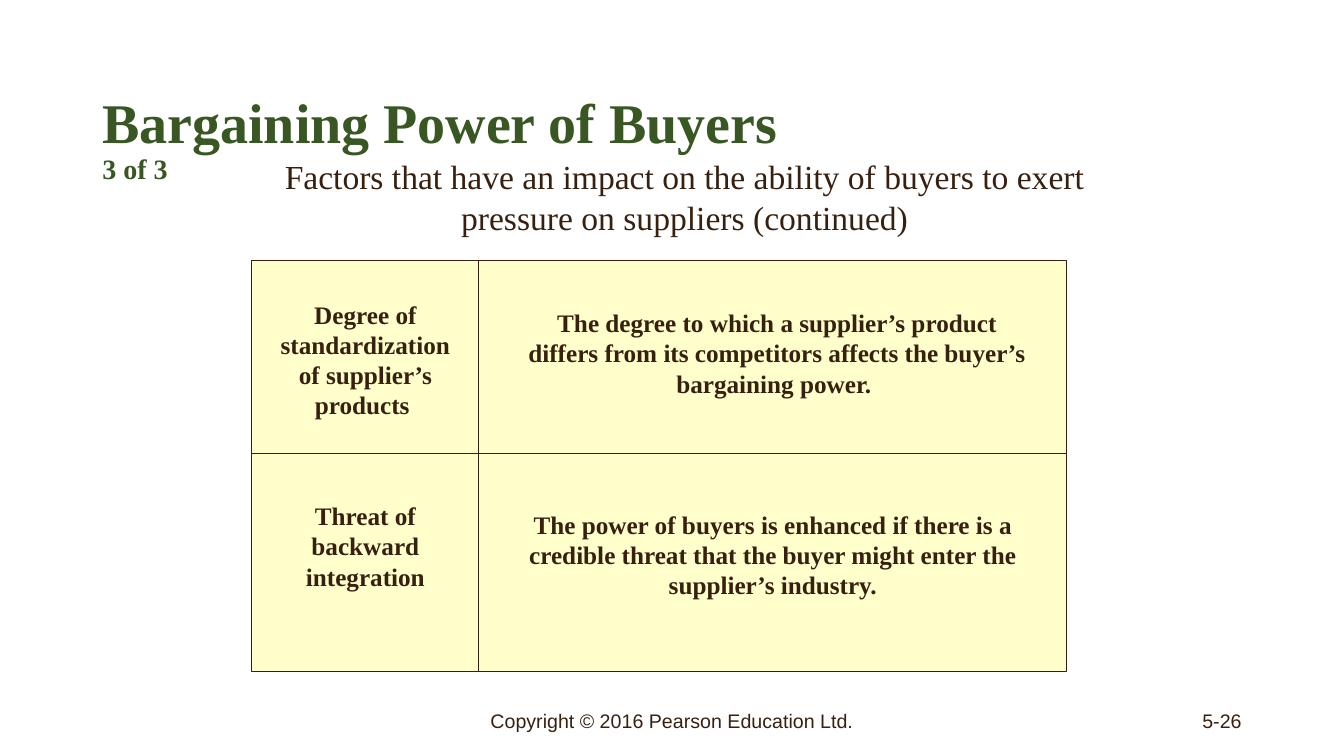
from lxml import etree
from pptx import Presentation
from pptx.dml.color import RGBColor
from pptx.enum.shapes import MSO_CONNECTOR, MSO_SHAPE
from pptx.enum.text import MSO_ANCHOR, PP_ALIGN
from pptx.oxml.ns import qn
from pptx.util import Pt

LEFT, CENTER, RIGHT = PP_ALIGN.LEFT, PP_ALIGN.CENTER, PP_ALIGN.RIGHT
TOP, MIDDLE = MSO_ANCHOR.TOP, MSO_ANCHOR.MIDDLE
RECTANGLE, STRAIGHT = MSO_SHAPE.RECTANGLE, MSO_CONNECTOR.STRAIGHT
GREEN = RGBColor(0x38, 0x57, 0x23)
BROWN = RGBColor(0x38, 0x20, 0x10)
CREAM = RGBColor(0xFF, 0xFF, 0xCC)
SERIF, SANS = "Times New Roman", "Arial"

# Content
TITLE = "Bargaining Power of Buyers"
PART = "3 of 3"
# text, box, size, font, alignment, anchor
LABELS = [
    ("Factors that have an impact on the ability of buyers to exert "
     "pressure on suppliers (continued)",
     (216, 144, 872, 87), 24, SERIF, CENTER, TOP),
    ("Copyright © 2016 Pearson Education Ltd.",
     (424, 667, 432, 38), 14, SANS, CENTER, MIDDLE),
    ("5-26", (904, 667, 288, 38), 14, SANS, RIGHT, MIDDLE),
]
# text and box of each factor and its explanation
FACTORS = [
    ("Degree of standardization of supplier’s products ",
     (248, 280, 200, 126)),
    ("Threat of backward integration", (248, 472, 200, 97)),
    ("The power of buyers is enhanced if there is a credible threat that "
     "the buyer might enter the supplier’s industry.", (464, 480, 544, 97)),
    ("The degree to which a supplier’s product differs from its "
     "competitors affects the buyer’s bargaining power. ",
     (488, 288, 504, 97)),
]
PANEL = (240, 248, 776, 392)
ROW_SPLIT, COL_SPLIT = 432, 456


def px(n):
    return n * 9525


def add_run(p, text, size, font, color, bold=False):
    r = p.add_run()
    r.text = text
    f = r.font
    f.size, f.name, f.bold = Pt(size), font, bold
    f.color.rgb = color


def add_box(s, box, align, anchor):
    tf = s.shapes.add_textbox(*map(px, box)).text_frame
    tf.word_wrap = True
    tf.vertical_anchor = anchor
    p = tf.paragraphs[0]
    p.alignment = align
    return p


def set_line(shape):
    shape.line.color.rgb = BROWN
    shape.line.width = Pt(0.75)


prs = Presentation()
prs.slide_width, prs.slide_height = px(1280), px(720)
s = prs.slides.add_slide(prs.slide_layouts[6])

# Title
p = add_box(s, (88, 64, 1104, 139), LEFT, MIDDLE)
p.line_spacing = 0.9
add_run(p, TITLE, 40, SERIF, GREEN, True)
p.add_line_break()
add_run(p, PART, 20, SERIF, GREEN, True)

# Subtitle and footer
for text, box, size, font, align, anchor in LABELS:
    add_run(add_box(s, box, align, anchor), text, size, font, BROWN)

# Panel
panel = s.shapes.add_shape(RECTANGLE, *map(px, PANEL))
panel.shadow.inherit = False
panel.fill.solid()
panel.fill.fore_color.rgb = CREAM
set_line(panel)

# Dividers
left, top, width, height = PANEL
for ends in [(left, ROW_SPLIT, left + width, ROW_SPLIT),
             (COL_SPLIT, top, COL_SPLIT, top + height)]:
    divider = s.shapes.add_connector(STRAIGHT, *map(px, ends))
    set_line(divider)
    etree.SubElement(divider._element.spPr, qn("a:effectLst"))

# Factors
for text, box in FACTORS:
    add_run(add_box(s, box, CENTER, TOP), text, 18, SERIF, BROWN, True)

prs.save("out.pptx")
